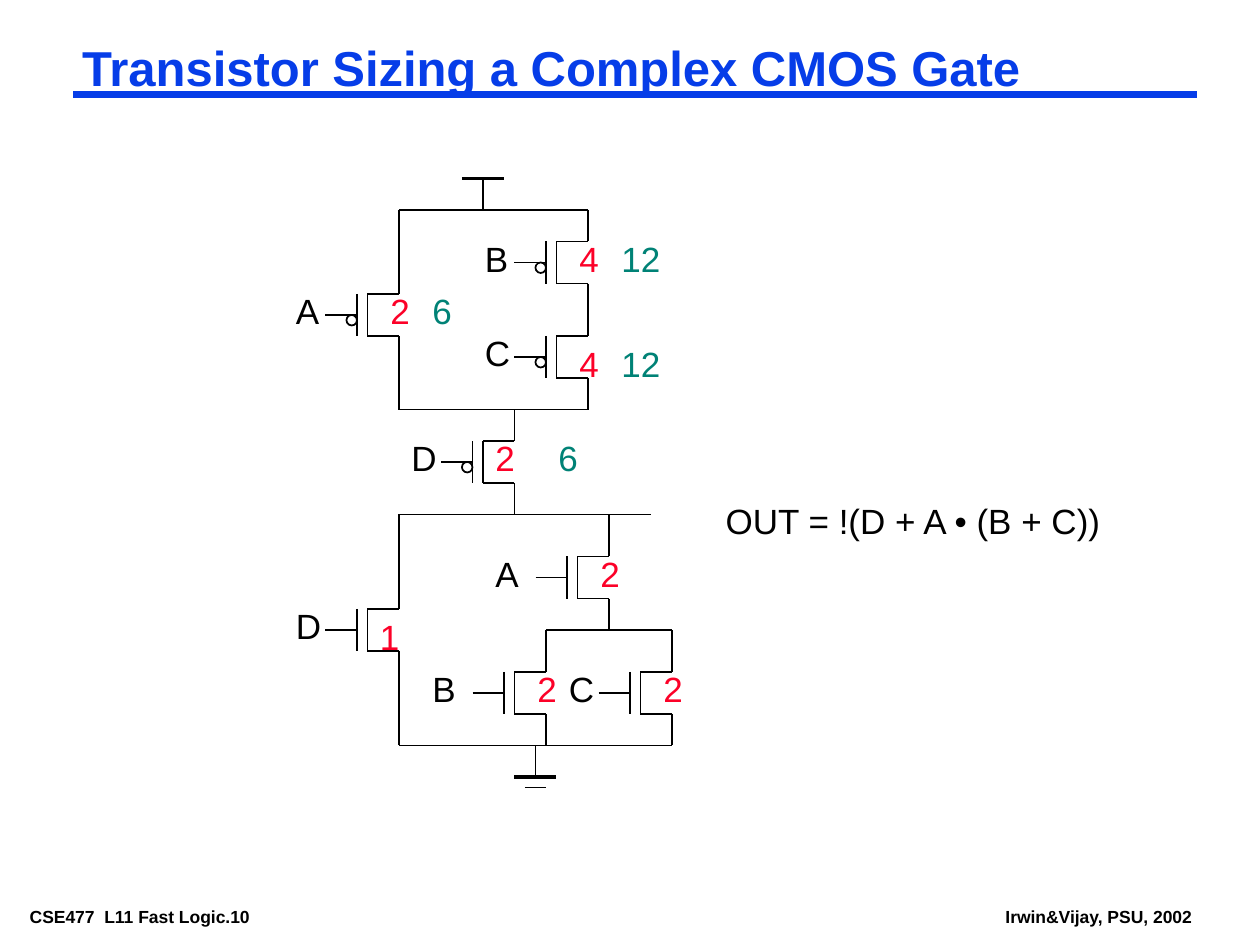
import pptx
import pptx.dml.color
import pptx.enum.shapes
import pptx.enum.text
import pptx.oxml
import pptx.util

Pt = pptx.util.Pt
RGBColor = pptx.dml.color.RGBColor
ANCHOR = pptx.enum.text.MSO_ANCHOR
ALIGN = pptx.enum.text.PP_ALIGN

BLACK = RGBColor(0x00, 0x00, 0x00)
BLUE = RGBColor(0x06, 0x3D, 0xE8)
RED = RGBColor(0xFC, 0x01, 0x28)
TEAL = RGBColor(0x00, 0x82, 0x76)

FONT = "Arial"
GATE_HEIGHT = 24
LABEL_HEIGHT = 31.7
LABEL_WIDTHS = {"A": 27.5, "B": 27.5, "C": 29, "D": 29, "12": 36.6}
DIGIT_WIDTH = 25.4


def write(frame, text, size=20, color=BLACK, bold=False, wrap=False,
          inset=(7.2, 3.6), line_spacing=None):
    frame.auto_size = pptx.enum.text.MSO_AUTO_SIZE.NONE
    frame.word_wrap = wrap
    frame.vertical_anchor = ANCHOR.TOP
    frame.margin_left = frame.margin_right = Pt(inset[0])
    frame.margin_top = frame.margin_bottom = Pt(inset[1])
    paragraph = frame.paragraphs[0]
    paragraph.alignment = ALIGN.LEFT
    if line_spacing:
        paragraph.line_spacing = line_spacing
    run = paragraph.add_run()
    run.text = text
    run.font.name = FONT
    run.font.size = Pt(size)
    run.font.bold = bold
    run.font.color.rgb = color


def add_text(slide, text, left, top, width, height, **text_format):
    box = slide.shapes.add_textbox(Pt(left), Pt(top), Pt(width), Pt(height))
    write(box.text_frame, text, **text_format)


def add_label(slide, text, left, top, color=BLACK):
    width = LABEL_WIDTHS.get(text, DIGIT_WIDTH)
    add_text(slide, text, left, top, width, LABEL_HEIGHT, color=color)


def add_wire(slide, x1, y1, x2, y2, weight=1, color=BLACK):
    wire = slide.shapes.add_connector(
        pptx.enum.shapes.MSO_CONNECTOR.STRAIGHT, Pt(x1), Pt(y1), Pt(x2), Pt(y2))
    wire.line.color.rgb = color
    wire.line.width = Pt(weight)
    properties = wire._element.spPr
    properties.append(pptx.oxml.parse_xml(
        '<a:effectLst xmlns:a="http://schemas.openxmlformats.org/drawingml/2006/main"/>'))


def add_transistor(slide, name, x, top, drain, bottom, size, resized=None,
                   name_shift=-66, size_shift=(-12, -6), resized_shift=12):
    """Draw a transistor on the wire at x; one with a resized width is a PMOS."""
    source = drain + GATE_HEIGHT
    middle = drain + GATE_HEIGHT / 2
    channel, gate = x - 18, x - 24
    for ends in (
        (x, top, x, drain),
        (channel, drain, x, drain),
        (channel, drain, channel, source),
        (channel, source, x, source),
        (x, source, x, bottom),
        (gate, drain, gate, source),
        (gate - 18, middle, gate, middle),
    ):
        add_wire(slide, *ends)

    add_label(slide, name, x + name_shift, drain - 6)
    size_top = drain + size_shift[1]
    add_label(slide, size, x + size_shift[0], size_top, RED)
    if resized:
        bubble = slide.shapes.add_shape(
            pptx.enum.shapes.MSO_SHAPE.OVAL, Pt(gate - 6), Pt(middle), Pt(6), Pt(6))
        bubble.shadow.inherit = False
        bubble.fill.background()
        bubble.line.color.rgb = BLACK
        bubble.line.width = Pt(1)
        add_label(slide, resized, x + resized_shift, size_top, TEAL)


def add_pull_up(slide, left, top):
    a_x, b_x, d_x, supply_x = left + 66, left + 174, left + 132, left + 114
    upper, between, lower, output = (top + y for y in (18, 78, 132, 192))

    add_wire(slide, supply_x - 12, top, supply_x + 12, top, weight=2.25)
    add_wire(slide, supply_x, top, supply_x, upper)
    for rail in (upper, lower):
        add_wire(slide, a_x, rail, b_x, rail)

    add_transistor(slide, "A", a_x, upper, top + 66, lower, "2", "6")
    add_transistor(slide, "B", b_x, upper, top + 36, between, "4", "12")
    add_transistor(slide, "C", b_x, between, top + 90, lower, "4", "12",
                   size_shift=(-12, 0))
    add_transistor(slide, "D", d_x, lower, top + 150, output, "2", "6",
                   size_shift=(-18, -6), resized_shift=18)


def add_pull_down(slide, left, top):
    d_x, b_x, a_x, c_x = (left + x for x in (66, 150, 186, 222))
    ground_x = left + 144
    middle, lower, ground = top + 66, top + 132, top + 150

    add_wire(slide, d_x, top, left + 210, top)
    add_wire(slide, b_x, middle, c_x, middle)
    add_wire(slide, d_x, lower, c_x, lower)
    add_wire(slide, ground_x, lower, ground_x, ground)
    add_wire(slide, ground_x - 12, ground, ground_x + 12, ground, weight=2.25)
    add_wire(slide, ground_x - 6, ground + 6, ground_x + 6, ground + 6)

    add_transistor(slide, "D", d_x, top, top + 54, lower, "1",
                   size_shift=(-18, 0))
    add_transistor(slide, "A", a_x, top, top + 24, middle, "2", name_shift=-72)
    add_transistor(slide, "B", b_x, middle, top + 90, lower, "2", name_shift=-72)
    add_transistor(slide, "C", c_x, middle, top + 90, lower, "2")


def add_heading(slide, left, top, width, height):
    add_wire(slide, left, top + 30, left + width, top + 30, weight=4.5, color=BLUE)
    title = slide.shapes.title
    title.left, title.top = Pt(left), Pt(top)
    title.width, title.height = Pt(width), Pt(height)
    write(title.text_frame, "Transistor Sizing a Complex CMOS Gate", size=28,
          color=BLUE, bold=True, wrap=True, inset=(5, 2), line_spacing=0.87)


def add_footer(slide, left, top, width, height):
    credit_width = 117.4
    for text, x, text_width in (
        ("CSE477  L11 Fast Logic.10", left, 173.5),
        ("Irwin&Vijay, PSU, 2002", left + width - credit_width, credit_width),
    ):
        add_text(slide, text, x, top, text_width, height,
                 size=10, bold=True, inset=(5, 2))


def main():
    presentation = pptx.Presentation()
    presentation.slide_width, presentation.slide_height = Pt(720), Pt(540)
    slide = presentation.slides.add_slide(presentation.slide_layouts[5])

    add_heading(slide, 42, 24, 642, 33)
    add_pull_up(slide, 162, 102)
    add_pull_down(slide, 162, 294)
    add_text(slide, "OUT = !(D + A • (B + C))", 407.5, 282, 231, LABEL_HEIGHT)
    add_footer(slide, 12, 516, 675, 16)
    presentation.save("out.pptx")


if __name__ == "__main__":
    main()
